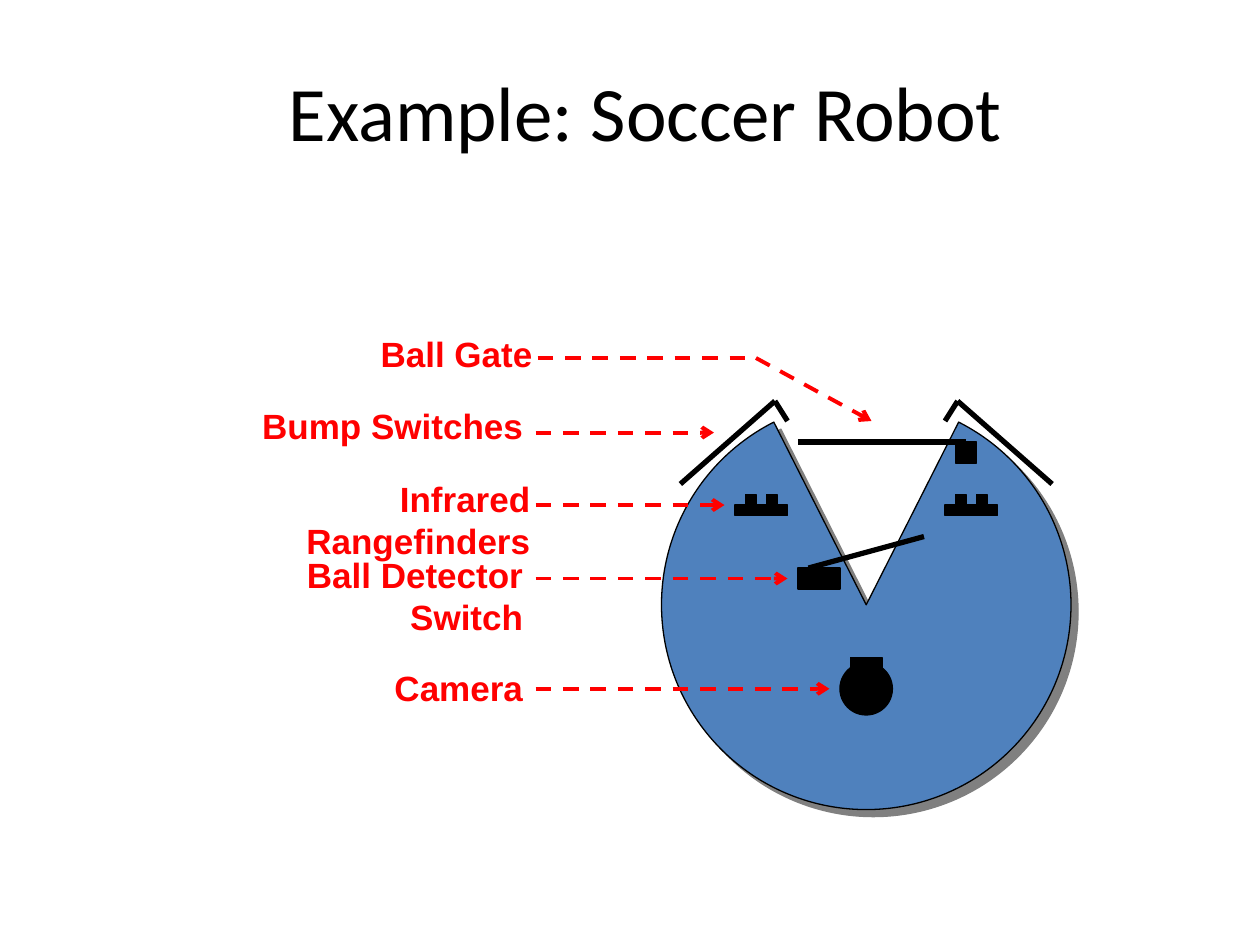
from dataclasses import dataclass
from math import atan2, degrees

from lxml.etree import SubElement
from pptx import Presentation
from pptx.dml.color import RGBColor
from pptx.enum.dml import MSO_LINE
from pptx.enum.shapes import MSO_CONNECTOR, MSO_SHAPE
from pptx.enum.text import MSO_ANCHOR, PP_ALIGN
from pptx.oxml.ns import qn
from pptx.util import Emu, Pt

PX = 7620  # EMU in a px: 120 px to the inch
CENTRE_X, CENTRE_Y, RADIUS = 825, 576, 195
LABEL_HEIGHT = 52
LEADER_LEFT = 510


@dataclass(frozen=True)
class Theme:
    ink: RGBColor = RGBColor(0x00, 0x00, 0x00)
    body: RGBColor = RGBColor(0x4F, 0x81, 0xBD)
    callout: RGBColor = RGBColor(0xFF, 0x00, 0x00)
    shadow: str = "808080"
    title_font: str = "Calibri"
    label_font: str = "Arial"
    title_size: int = 44
    label_size: int = 20
    outline: float = 0.75
    bar: float = 3
    leader: float = 2.25


THEME = Theme()


def px(*lengths):
    return [Emu(length * PX) for length in lengths]


def add_text(slide, text, box, *, font, size, color, bold=False,
             align=PP_ALIGN.CENTER, anchor=MSO_ANCHOR.TOP):
    frame = slide.shapes.add_textbox(*px(*box)).text_frame
    frame.word_wrap = True
    frame.vertical_anchor = anchor
    paragraph = frame.paragraphs[0]
    paragraph.alignment = align
    run = paragraph.add_run()
    run.text = text
    run.font.name = font
    run.font.size = Pt(size)
    run.font.bold = bold
    run.font.color.rgb = color


def add_label(slide, text, right, top, width):
    add_text(slide, text, (right - width, top, width, LABEL_HEIGHT),
             font=THEME.label_font, size=THEME.label_size, color=THEME.callout,
             bold=True, align=PP_ALIGN.RIGHT)


def add_part(slide, box, kind=MSO_SHAPE.RECTANGLE, color=THEME.ink):
    shape = slide.shapes.add_shape(kind, *px(*box))
    shape.shadow.inherit = False
    shape.fill.solid()
    shape.fill.fore_color.rgb = color
    shape.line.color.rgb = THEME.ink
    shape.line.width = Pt(THEME.outline)
    return shape


def add_line(slide, start, end, color=THEME.ink, width=THEME.bar):
    connector = slide.shapes.add_connector(
        MSO_CONNECTOR.STRAIGHT, *px(*start, *end))
    connector.line.color.rgb = color
    connector.line.width = Pt(width)
    SubElement(connector._element.spPr, qn("a:effectLst"))
    return connector


def add_leader(slide, start, end, arrow=True):
    line = add_line(slide, start, end, THEME.callout, THEME.leader).line
    line.dash_style = MSO_LINE.DASH
    if arrow:
        SubElement(line._get_or_add_ln(), qn("a:tailEnd"), type="arrow")


def add_hard_shadow(shape, distance, angle):
    effects = shape._element.spPr.find(qn("a:effectLst"))
    shadow = SubElement(effects, qn("a:outerShdw"), blurRad="0",
                        dist=str(Pt(distance)), dir=str(angle * 60000),
                        algn="ctr", rotWithShape="0")
    SubElement(shadow, qn("a:srgbClr"), val=THEME.shadow)


def add_body(slide):
    """Draw the round body with its wedge-shaped mouth at the top."""
    diameter = 2 * RADIUS
    body = add_part(slide, (CENTRE_X - RADIUS, CENTRE_Y - RADIUS, diameter, diameter),
                    MSO_SHAPE.PIE, THEME.body)
    half_mouth = degrees(atan2(88, 174))
    for index, angle in enumerate((270 + half_mouth, 270 - half_mouth)):
        body.adjustments[index] = angle * 60000 / 100000
    add_hard_shadow(body, 5.7, 45)


def add_bumpers(slide):
    for side in (1, -1):
        outer, tip, inner = [(CENTRE_X + side * x, y)
                             for x, y in ((177, 461), (87, 382), (75, 401))]
        add_line(slide, outer, tip)
        add_line(slide, tip, inner)
    add_label(slide, "Bump Switches", 510, 379, 285)
    add_leader(slide, (LEADER_LEFT, 412), (680, 412))


def add_rangefinders(slide):
    for left in (700, 900):
        add_part(slide, (left, 481, 50, 10))
        for offset in (30, 10):
            add_part(slide, (left + offset, 471, 10, 10))
    add_label(slide, "Infrared Rangefinders", 517, 449, 365)
    add_leader(slide, (LEADER_LEFT, 481), (690, 481))


def add_ball_detector(slide):
    add_part(slide, (760, 541, 40, 20))
    add_line(slide, (880, 511), (770, 541))
    add_label(slide, "Ball Detector Switch", 510, 521, 340)
    add_leader(slide, (LEADER_LEFT, 551), (750, 551))


def add_camera(slide):
    add_part(slide, (800, 631, 50, 50), MSO_SHAPE.OVAL)
    add_part(slide, (810, 626, 30, 20))
    add_label(slide, "Camera", 510, 629, 160)
    add_leader(slide, (LEADER_LEFT, 656), (790, 656))


def add_ball_gate(slide):
    add_label(slide, "Ball Gate", 519, 311, 180)
    bend = (720, 341)
    add_leader(slide, (512, 341), bend, arrow=False)
    add_line(slide, (760, 421), (920, 421))
    add_part(slide, (910, 421, 20, 20))
    add_leader(slide, bend, (830, 401))


def main():
    presentation = Presentation()
    presentation.slide_width, presentation.slide_height = px(1200, 900)
    slide = presentation.slides.add_slide(presentation.slide_layouts[6])
    add_text(slide, "Example: Soccer Robot", (70, 40, 1090, 130),
             font=THEME.title_font, size=THEME.title_size, color=THEME.ink,
             anchor=MSO_ANCHOR.MIDDLE)
    add_body(slide)
    add_bumpers(slide)
    add_rangefinders(slide)
    add_ball_detector(slide)
    add_camera(slide)
    add_ball_gate(slide)
    presentation.save("out.pptx")


if __name__ == "__main__":
    main()
